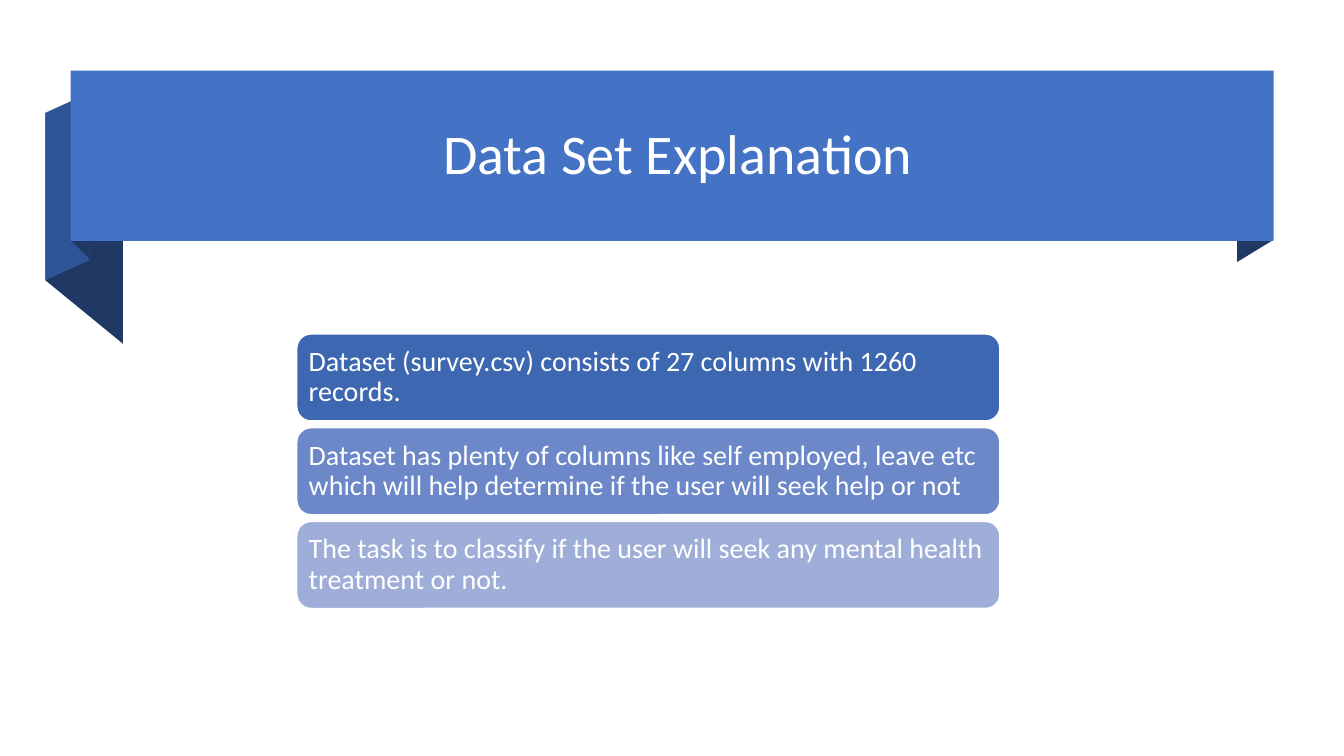
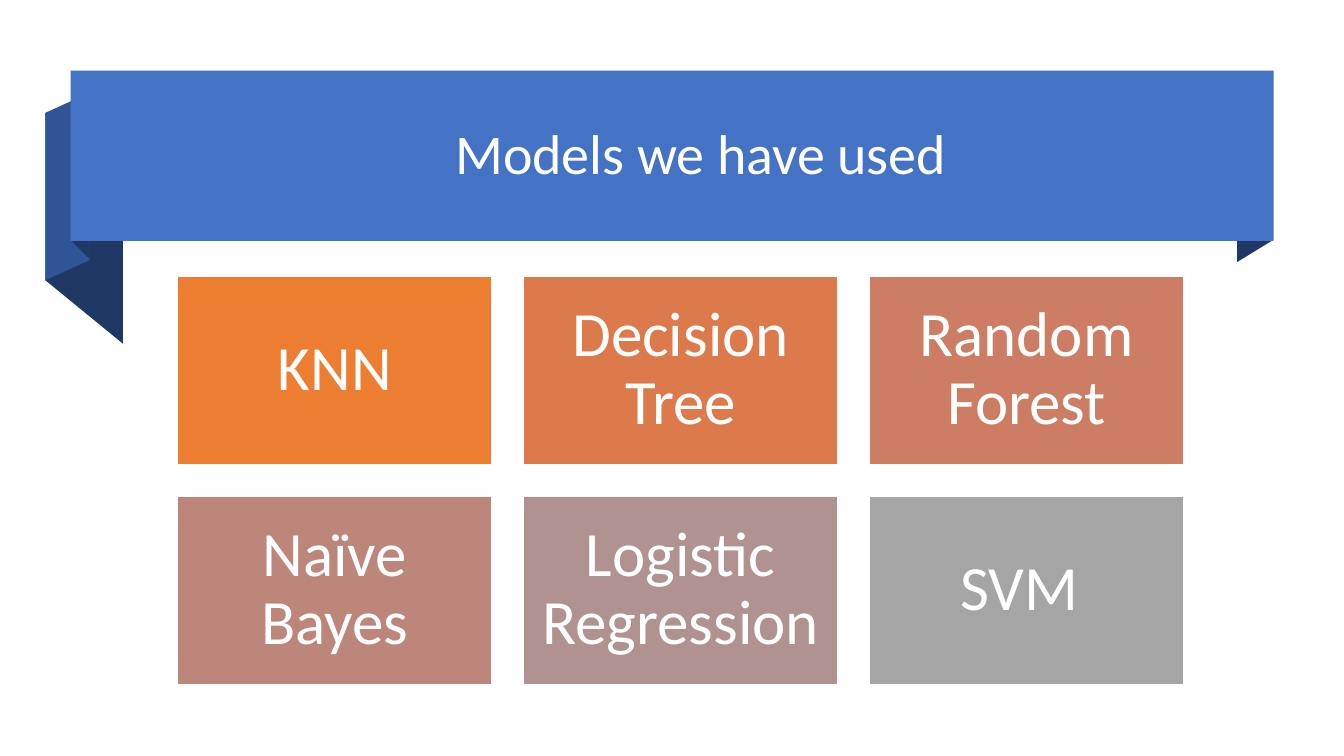
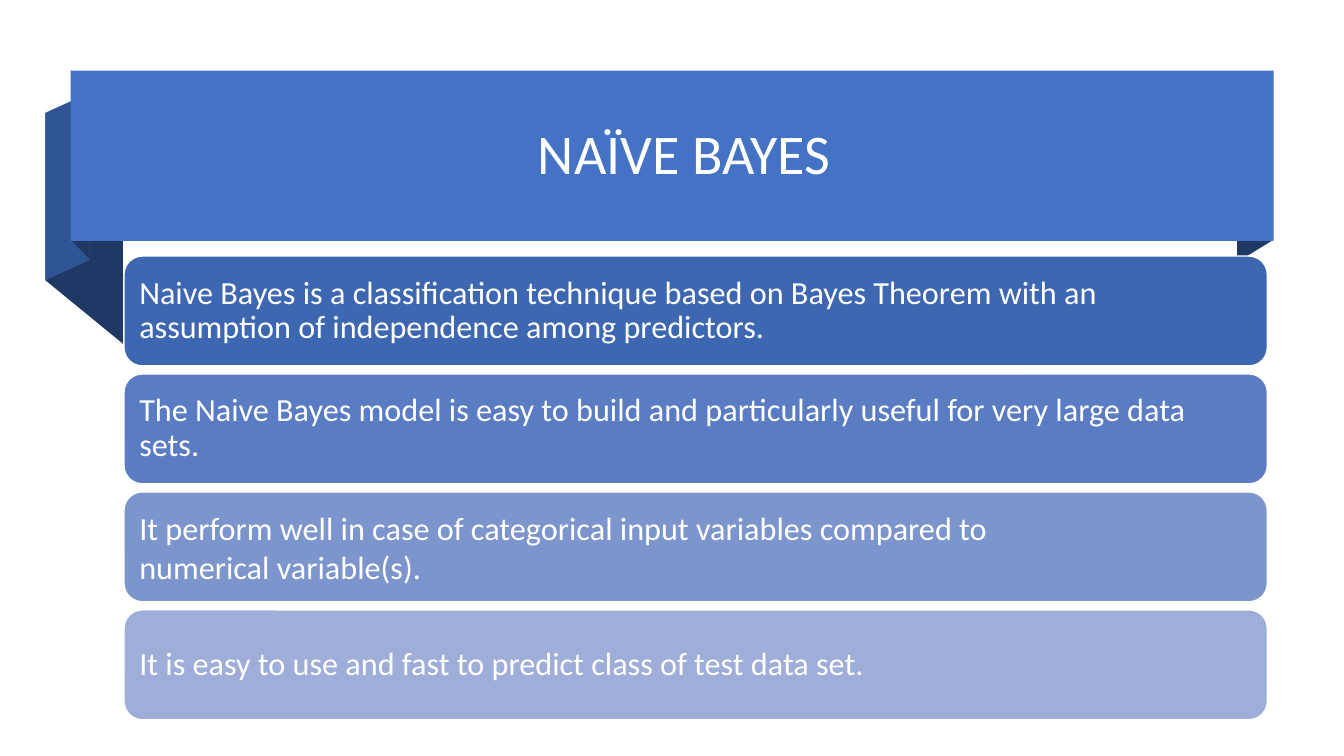
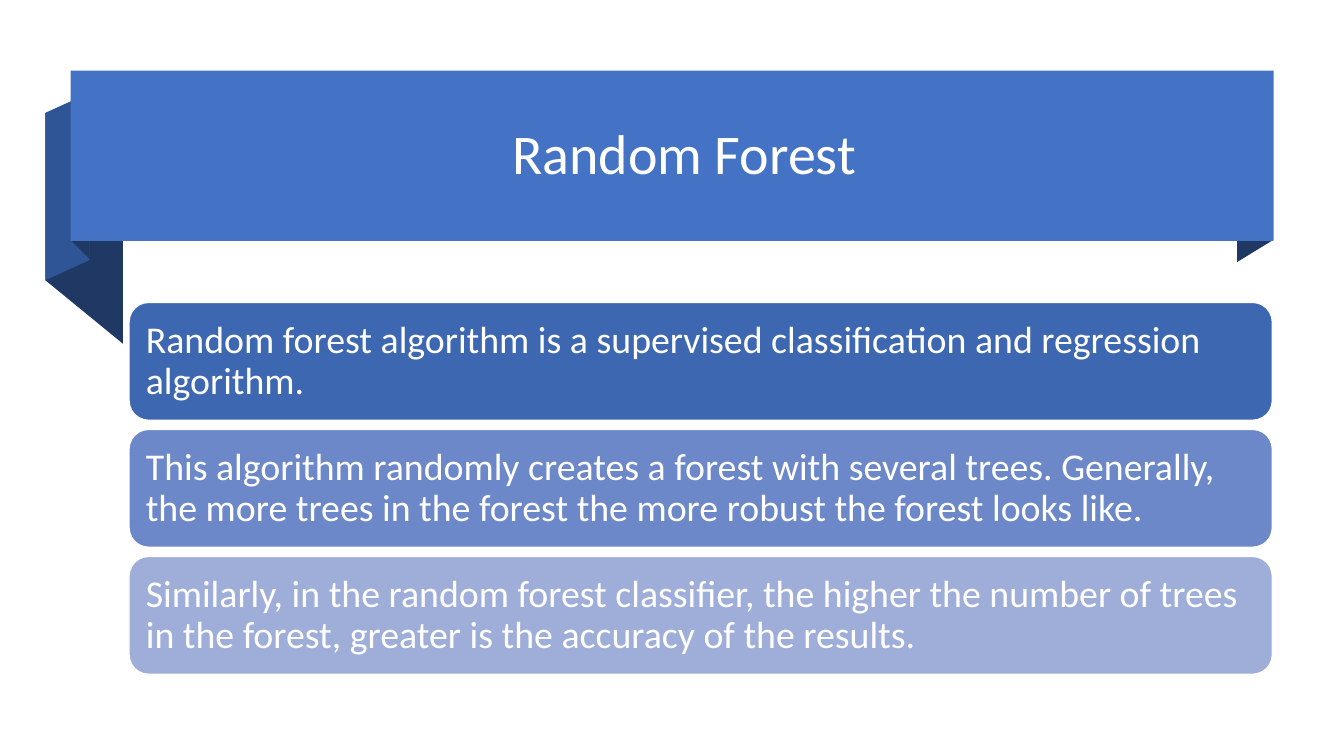
from pptx import Presentation
from pptx import util as u
from pptx.dml.color import RGBColor
from pptx.enum import shapes, text

HUES = {
    "white": "FFFFFF", "navy": "203864", "fold": "2F5597", "band": "4472C4",
    "blue1": "3E67B2", "blue2": "5A7CC3", "blue3": "6C88C8",
    "blue4": "7D95CD", "blue5": "9FAED8",
    "tile1": "ED7D31", "tile2": "DC7A4B", "tile3": "CC7D64",
    "tile4": "BD867B", "tile5": "B09391", "tile6": "A5A5A5",
}
FONT = "Calibri"
HARD = chr(160)  # no-break space
FOLDS = [
    ("navy", [(12.63, 2.38), (12.27, 2.6), (12.27, 0.91), (12.63, 0.7)]),
    ("navy", [(1.22, 3.41), (0.45, 2.78), (0.45, 1.12), (1.22, 1.75)]),
    ("fold", [(0.89, 2.58), (0.45, 2.78), (0.45, 1.12), (0.89, 0.92)]),
    ("navy", [(0.89, 2.57), (0.71, 2.39), (0.71, 0.7), (0.89, 0.89)]),
]
RECT = shapes.MSO_SHAPE.RECTANGLE
ROUND = shapes.MSO_SHAPE.ROUNDED_RECTANGLE
LEFT, MID = text.PP_ALIGN.LEFT, text.PP_ALIGN.CENTER


def hue(name):
    return RGBColor.from_string(HUES[name])


def paint(shape, fill, line=None):
    """Fill a shape; line is the width of a white outline, if any."""
    shape.shadow.inherit = False
    shape.fill.solid()
    shape.fill.fore_color.rgb = hue(fill)
    if line:
        shape.line.color.rgb = hue("white")
        shape.line.width = u.Pt(line)
    else:
        shape.line.fill.background()


def write(shape, words, size, align):
    frame = shape.text_frame
    frame.word_wrap = True
    frame.vertical_anchor = text.MSO_ANCHOR.MIDDLE
    para = frame.paragraphs[0]
    para.text = words
    para.alignment = align
    para.line_spacing = 0.9
    para.font.name = FONT
    para.font.size = u.Pt(size)
    para.font.color.rgb = hue("white")
    return para


def ribbon(slide):
    """Draw the folded band behind the title."""
    for fill, points in FOLDS:
        start, *rest = [(u.Inches(x), u.Inches(y)) for x, y in points]
        pen = slide.shapes.build_freeform(*start)
        pen.add_line_segments(rest)
        paint(pen.convert_to_shape(), fill)
    box = [u.Inches(n) for n in (0.7, 0.7, 11.93, 1.69)]
    paint(slide.shapes.add_shape(RECT, *box), "band")


def page(deck, words, left=1.15):
    """Add a slide with the ribbon and its title on top."""
    slide = deck.slides.add_slide(deck.slide_layouts[5])
    ribbon(slide)
    title = slide.shapes.title
    title.left, title.top = u.Inches(left), u.Inches(0.83)
    title.width, title.height = u.Inches(12.42 - left), u.Inches(1.45)
    write(title, words, 40, MID)
    title.element.getparent().append(title.element)
    return slide


def card(slide, kind, box, fill, line, inset, words, size, align):
    shape = slide.shapes.add_shape(kind, *[u.Inches(n) for n in box])
    paint(shape, fill, line)
    frame = shape.text_frame
    frame.margin_left = frame.margin_right = u.Inches(inset)
    frame.margin_top = frame.margin_bottom = u.Inches(inset)
    return write(shape, words, size, align)


def stack(slide, box, gap, inset, size, rows, line=1):
    """Pile rounded cards downward from box; return their paragraphs."""
    left, top, wide, high = box
    return [
        card(slide, ROUND, (left, top + i * (high + gap), wide, high),
             fill, line, inset, words, size, LEFT)
        for i, (fill, words) in enumerate(rows)
    ]


def tiles(slide, names, cols=3):
    wide, high, gap = 3.12, 1.87, 0.31
    for i, name in enumerate(names):
        row, col = divmod(i, cols)
        box = (1.76 + col * (wide + gap), 2.74 + row * (high + gap), wide, high)
        card(slide, RECT, box, f"tile{i + 1}", 1, 0.15, name, 45, MID)


def main():
    deck = Presentation()
    deck.slide_width, deck.slide_height = u.Inches(13.33), u.Inches(7.5)

    stack(page(deck, "Data Set Explanation "), (2.94, 3.31, 6.98, 0.87), 0.06, 0.08, 20, [
        ("blue1", "Dataset (survey.csv) consists of 27 columns with 1260 records."),
        ("blue3", "Dataset has plenty of columns like self employed, leave etc "
                  "which will help determine if the user will seek help or not"),
        ("blue5", "The task is to classify if the user will seek any mental "
                  "health treatment or not."),
    ], line=1.5)

    tiles(page(deck, "Models we have used", left=1.48),
          ["KNN", "Decision Tree", "Random Forest",
           "Naïve Bayes", "Logistic Regression", "SVM "])

    paras = stack(page(deck, "NAÏVE BAYES"), (1.23, 2.54, 11.34, 1.09), 0.08, 0.1, 23, [
        ("blue1", "Naive Bayes is a classification technique based on Bayes Theorem "
                  "with an assumption of independence among predictors."),
        ("blue2", "The Naive Bayes model is easy to build and particularly useful "
                  "for very large data sets."),
        ("blue4", "It perform well in case of categorical input variables "
                  f"compared to numerical{HARD}variable(s)."),
        ("blue5", "It is easy to use and fast to predict class of test data set."),
    ])
    paras[2].line_spacing = 1.0

    stack(page(deck, "Random Forest"), (1.28, 3, 11.34, 1.17), 0.09, 0.11, 27, [
        ("blue1", "Random forest algorithm is a supervised classification and "
                  "regression algorithm."),
        ("blue3", "This algorithm randomly creates a forest with several trees. "
                  "Generally, the more trees in the forest the more robust the "
                  "forest looks like."),
        ("blue5", "Similarly, in the random forest classifier, the higher the number "
                  "of trees in the forest, greater is the accuracy of the results."),
    ])
    deck.save("out.pptx")


if __name__ == "__main__":
    main()
